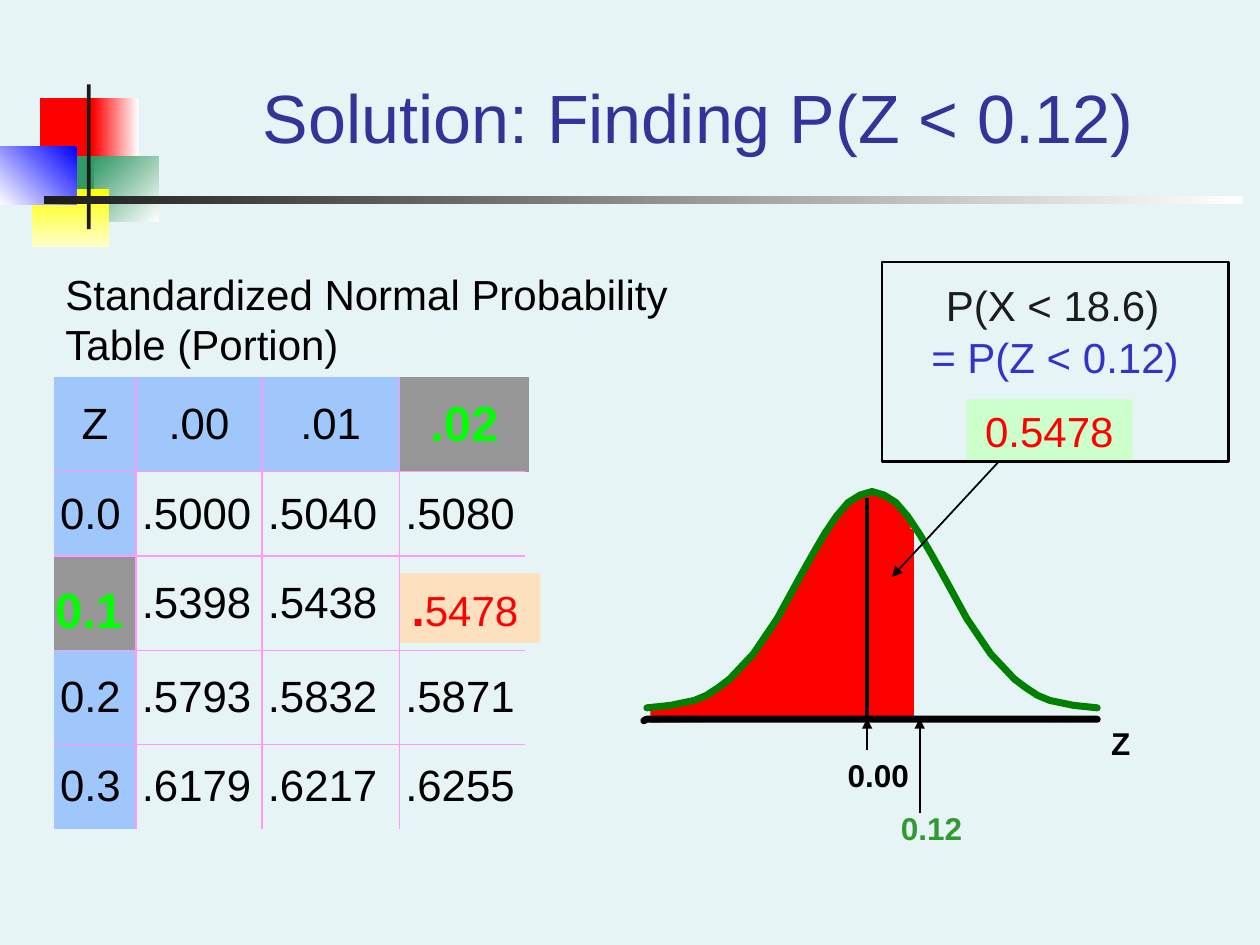
from dataclasses import dataclass
from itertools import accumulate

from lxml import etree
from pptx import Presentation
from pptx.dml.color import RGBColor
from pptx.enum.shapes import MSO_CONNECTOR, MSO_SHAPE
from pptx.enum.text import MSO_ANCHOR, PP_ALIGN
from pptx.oxml.ns import qn
from pptx.util import Cm, Pt

LEFT, CENTER = PP_ALIGN.LEFT, PP_ALIGN.CENTER
TOP, MIDDLE = MSO_ANCHOR.TOP, MSO_ANCHOR.MIDDLE
RECTANGLE, STRAIGHT = MSO_SHAPE.RECTANGLE, MSO_CONNECTOR.STRAIGHT

BLACK = RGBColor(0x00, 0x00, 0x00)
CHARCOAL = RGBColor(0x1C, 0x1C, 0x1C)
WHITE = RGBColor(0xFF, 0xFF, 0xFF)
RED = RGBColor(0xFF, 0x00, 0x00)
GREEN = RGBColor(0x33, 0x99, 0x66)
YELLOW = RGBColor(0xFF, 0xFF, 0x00)
PALE_YELLOW = RGBColor(0xFF, 0xFF, 0xCC)
BLUE = RGBColor(0x00, 0x00, 0xFF)
BACKDROP = RGBColor(0xE7, 0xF4, 0xF5)
TITLE_BLUE = RGBColor(0x33, 0x33, 0x99)
FORMULA_BLUE = RGBColor(0x33, 0x33, 0xCC)
CURVE_GREEN = RGBColor(0x00, 0x80, 0x00)
LABEL_GREEN = RGBColor(0x33, 0x99, 0x33)
LIME = RGBColor(0x00, 0xFF, 0x00)
MINT = RGBColor(0xCC, 0xFF, 0xCC)
PEACH = RGBColor(0xFD, 0xE0, 0xBD)
CELL_BLUE = RGBColor(0xA0, 0xC7, 0xFC)
CELL_GREY = RGBColor(0x96, 0x96, 0x96)
GRID_PINK = RGBColor(0xFF, 0x99, 0xFF)

FONT = "Arial"
NO_GRID_STYLE = "{2D5ABB26-0587-4C30-8999-92F81FD0307C}"

Box = tuple[float, float, float, float]
Point = tuple[float, float]


@dataclass
class Block:
    """A plain rectangle, graded when it has an end colour."""
    box: Box
    color: RGBColor
    end: RGBColor | None = None
    angle: float = 0


@dataclass
class Label:
    box: Box
    text: str
    size: float
    color: RGBColor
    bold: bool = False
    align: PP_ALIGN = LEFT
    wrap: bool = False


@dataclass
class Stroke:
    start: Point
    end: Point
    color: RGBColor
    width: float
    arrow: bool = False


BLOCKS = [
    Block((0.81, 1.98, 1.22, 1.32), RED),
    Block((1.88, 1.98, 0.91, 1.32), RED, WHITE),
    Block((1.9, 3.15, 1.3, 1.32), GREEN, WHITE, 315),
    Block((1.09, 3.15, 0.81, 1.32), GREEN),
    Block((0.64, 3.81, 1.55, 1.17), YELLOW, PALE_YELLOW, 270),
    Block((0, 2.95, 1.55, 1.17), WHITE, BLUE, 45),
    Block((1.75, 1.7, 0.08, 2.92), CHARCOAL),
    Block((0.89, 3.96, 24.16, 0.15), CHARCOAL, WHITE),
]

PEAK_X = 17.58
# Distance from the peak and height on the page
HALF_CURVE = [(0, 9.91), (0.24, 9.98), (0.48, 10.13), (0.72, 10.41), (0.96, 10.77),
              (1.2, 11.18), (1.44, 11.61), (1.91, 12.47), (2.39, 13.18), (2.87, 13.69),
              (3.11, 13.87), (3.34, 14.02), (3.58, 14.12), (3.82, 14.17), (4.06, 14.22),
              (4.54, 14.27)]
RED_AREAS = [
    [(17.48, 14.5), (17.45, 9.96), (17.04, 10.26), (16.61, 10.69), (16.33, 11.28),
     (15.93, 11.94), (15.7, 12.37), (15.42, 12.85), (15.14, 13.23), (14.71, 13.72),
     (14.02, 14.12), (13.13, 14.27), (13.13, 14.55)],
    [(17.48, 14.53), (18.34, 14.53), (18.36, 14.45), (18.29, 14), (18.14, 13.89),
     (17.78, 14.1), (17.48, 14.27)],
    [(17.48, 14.3), (17.53, 12.47), (17.48, 10.57), (17.35, 10.08), (17.53, 9.96),
     (17.93, 10.08), (18.29, 10.44), (18.34, 10.54), (18.34, 14.27)],
]
AXIS = [(12.98, 14.53), (13.03, 14.5), (22.12, 14.5)]
AREA_STROKES = [
    Stroke((18.34, 10.67), (18.34, 14.48), RED, 5),
    Stroke((17.48, 10.03), (17.48, 14.48), BLACK, 2.5),
]
ARROWS = [
    Stroke((17.48, 15.11), (17.48, 14.48), BLACK, 1, True),
    Stroke((18.54, 16.38), (18.54, 14.48), BLACK, 1, True),
    Stroke((20.12, 9.32), (17.98, 11.63), BLACK, 1, True),
]

LABELS = [
    Label((22.15, 14.48, 1.07, 1.02), "Z", 18, BLACK, True),
    Label((17.91, 16.18, 1.75, 1.02), "0.12", 18, LABEL_GREEN, True),
    Label((16.84, 15.11, 1.75, 1.02), "0.00", 18, BLACK, True),
    Label((18.27, 6.55, 6, 1.27), "= P(Z < 0.12)", 24, FORMULA_BLUE, align=CENTER),
    Label((18.22, 5.51, 6, 1.27), "P(X < 18.6)", 24, CHARCOAL, align=CENTER),
]
TITLE = Label((3.18, 0.84, 21.79, 3.18), "Solution: Finding P(Z < 0.12)", 39,
              TITLE_BLUE, align=CENTER, wrap=True)
HEADING = Label((1.07, 5.28, 12.7, 2.21),
                "Standardized Normal Probability\nTable (Portion)", 24, BLACK, wrap=True)
ANSWER = Label((19.48, 8.05, 3.35, 1.27), "0.5478", 24, RED, align=CENTER, wrap=True)
FOUND = Label((8.05, 11.56, 2.84, 1.4), ".5478", 24, RED, wrap=True)

TABLE_BOX = (1.09, 7.59, 9.58, 9.12)
COLUMN_WIDTHS = [1.65, 2.54, 2.77, 2.62]
ROW_HEIGHTS = [1.92, 1.7, 1.9, 1.9, 1.7]
GRID_RIGHT = 10.59
# The highlight box holds the value of row 0.1, column .02
PROBABILITIES = [
    ["Z", ".00", ".01", ".02"],
    ["0.0", ".5000", ".5040", ".5080"],
    ["0.1", ".5398", ".5438", ""],
    ["0.2", ".5793", ".5832", ".5871"],
    ["0.3", ".6179", ".6217", ".6255"],
]
LOOKED_UP = {".02", "0.1"}


def lengths(values: tuple[float, ...]) -> list[Cm]:
    return [Cm(value) for value in values]


def add_block(page, block: Block):
    shape = page.shapes.add_shape(RECTANGLE, *lengths(block.box))
    shape.shadow.inherit = False
    shape.line.fill.background()
    if block.end is None:
        shape.fill.solid()
        shape.fill.fore_color.rgb = block.color
    else:
        shape.fill.gradient()
        shape.fill.gradient_angle = block.angle
        for stop, color in zip(shape.fill.gradient_stops, (block.color, block.end)):
            stop.color.rgb = color
    return shape


def style_font(font, size: float, color: RGBColor, bold: bool = False) -> None:
    font.name, font.size, font.bold = FONT, Pt(size), bold
    font.color.rgb = color


def write_label(shape, label: Label):
    frame = shape.text_frame
    frame.text = label.text
    frame.word_wrap = label.wrap
    frame.vertical_anchor = TOP
    for para in frame.paragraphs:
        para.alignment = label.align
        for span in para.runs:
            style_font(span.font, label.size, label.color, label.bold)
    return frame


def add_label(page, label: Label):
    return write_label(page.shapes.add_textbox(*lengths(label.box)), label)


def add_outline(page, points: list[Point], color: RGBColor, width: float,
                filled: bool = False) -> None:
    builder = page.shapes.build_freeform(*lengths(points[0]))
    builder.add_line_segments([lengths(point) for point in points[1:]], close=filled)
    shape = builder.convert_to_shape()
    shape.shadow.inherit = False
    if filled:
        shape.fill.solid()
        shape.fill.fore_color.rgb = color
    else:
        shape.fill.background()
    shape.line.color.rgb = color
    shape.line.width = Pt(width)
    shape.element.spPr.find(qn("a:ln")).set("cap", "rnd")


def add_stroke(page, stroke: Stroke) -> None:
    line = page.shapes.add_connector(STRAIGHT, *lengths(stroke.start + stroke.end))
    line.line.color.rgb = stroke.color
    line.line.width = Pt(stroke.width)
    properties = line.element.spPr
    if stroke.arrow:
        etree.SubElement(properties.find(qn("a:ln")), qn("a:tailEnd"), type="triangle")
    etree.SubElement(properties, qn("a:effectLst"))


def fill_cell(cell, text: str, row: int, column: int) -> None:
    looked_up = text in LOOKED_UP
    if row == 0 or column == 0:
        cell.fill.solid()
        cell.fill.fore_color.rgb = CELL_GREY if looked_up else CELL_BLUE
    else:
        cell.fill.background()
    cell.vertical_anchor = MIDDLE
    cell.margin_left = cell.margin_right = Cm(0.02 if looked_up else 0.12)
    if looked_up and row > 0:
        cell.margin_top = Cm(0.45)
    cell.text_frame.text = text
    para = cell.text_frame.paragraphs[0]
    para.alignment = CENTER if row == 0 else LEFT
    for span in para.runs:
        style_font(span.font, 28 if looked_up else 25, LIME if looked_up else BLACK, looked_up)


def add_probability_table(page) -> None:
    frame = page.shapes.add_table(len(ROW_HEIGHTS), len(COLUMN_WIDTHS), *lengths(TABLE_BOX))
    table = frame.table
    table.first_row = table.horz_banding = False
    table._tbl.tblPr.find(qn("a:tableStyleId")).text = NO_GRID_STYLE
    for column, width in zip(table.columns, COLUMN_WIDTHS):
        column.width = Cm(width)
    for row, height in zip(table.rows, ROW_HEIGHTS):
        row.height = Cm(height)
    for r, values in enumerate(PROBABILITIES):
        for c, text in enumerate(values):
            fill_cell(table.cell(r, c), text, r, c)


def add_grid_lines(page) -> None:
    """Rule the inner table edges; the rows end short of the table's right side."""
    left, top, _, height = TABLE_BOX
    for x in accumulate(COLUMN_WIDTHS[:-1], initial=left):
        if x > left:
            add_stroke(page, Stroke((x, top), (x, top + height), GRID_PINK, 0.75))
    for y in accumulate(ROW_HEIGHTS[:-1], initial=top):
        if y > top:
            add_stroke(page, Stroke((left, y), (GRID_RIGHT, y), GRID_PINK, 0.75))


def main() -> None:
    deck = Presentation()
    deck.slide_width, deck.slide_height = Cm(25.4), Cm(19.05)
    page = deck.slides.add_slide(deck.slide_layouts[6])
    page.background.fill.solid()
    page.background.fill.fore_color.rgb = BACKDROP

    for block in BLOCKS:
        add_block(page, block)
    for area in RED_AREAS:
        add_outline(page, area, RED, 1, filled=True)
    for stroke in AREA_STROKES:
        add_stroke(page, stroke)
    for side in (1, -1):
        add_outline(page, [(PEAK_X + side * x, y) for x, y in HALF_CURVE], CURVE_GREEN, 4)
    add_outline(page, AXIS, BLACK, 4)

    add_probability_table(page)
    title = add_label(page, TITLE)
    title.vertical_anchor = MIDDLE
    title.paragraphs[0].line_spacing = 0.95
    second_line = add_label(page, HEADING).paragraphs[1]
    second_line.line_spacing = 0.4
    second_line.space_before = Pt(15)

    write_label(add_block(page, Block(ANSWER.box, MINT)), ANSWER)
    found = write_label(add_block(page, Block(FOUND.box, PEACH)), FOUND).paragraphs[0]
    found.runs[0].text = "."
    style_font(found.runs[0].font, 27, RED, True)
    digits = found.add_run()
    digits.text = "5478"
    style_font(digits.font, FOUND.size, RED)

    for arrow in ARROWS:
        add_stroke(page, arrow)
    for label in LABELS:
        add_label(page, label)
    border = add_block(page, Block((17.78, 5.28, 6.99, 4.03), WHITE))
    border.fill.background()
    border.line.color.rgb = BLACK
    border.line.width = Pt(1.5)
    add_grid_lines(page)
    deck.save("out.pptx")


if __name__ == "__main__":
    main()
